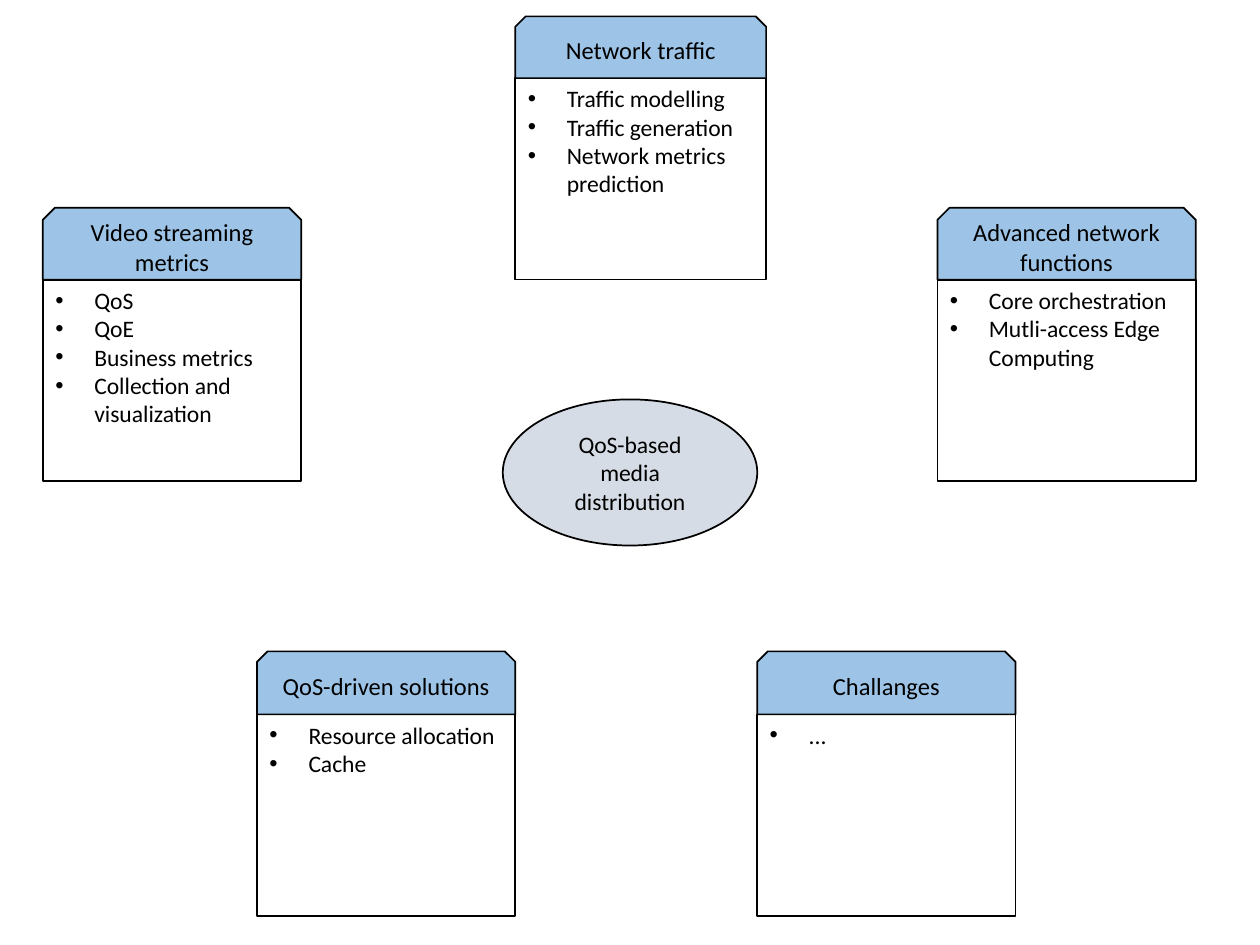
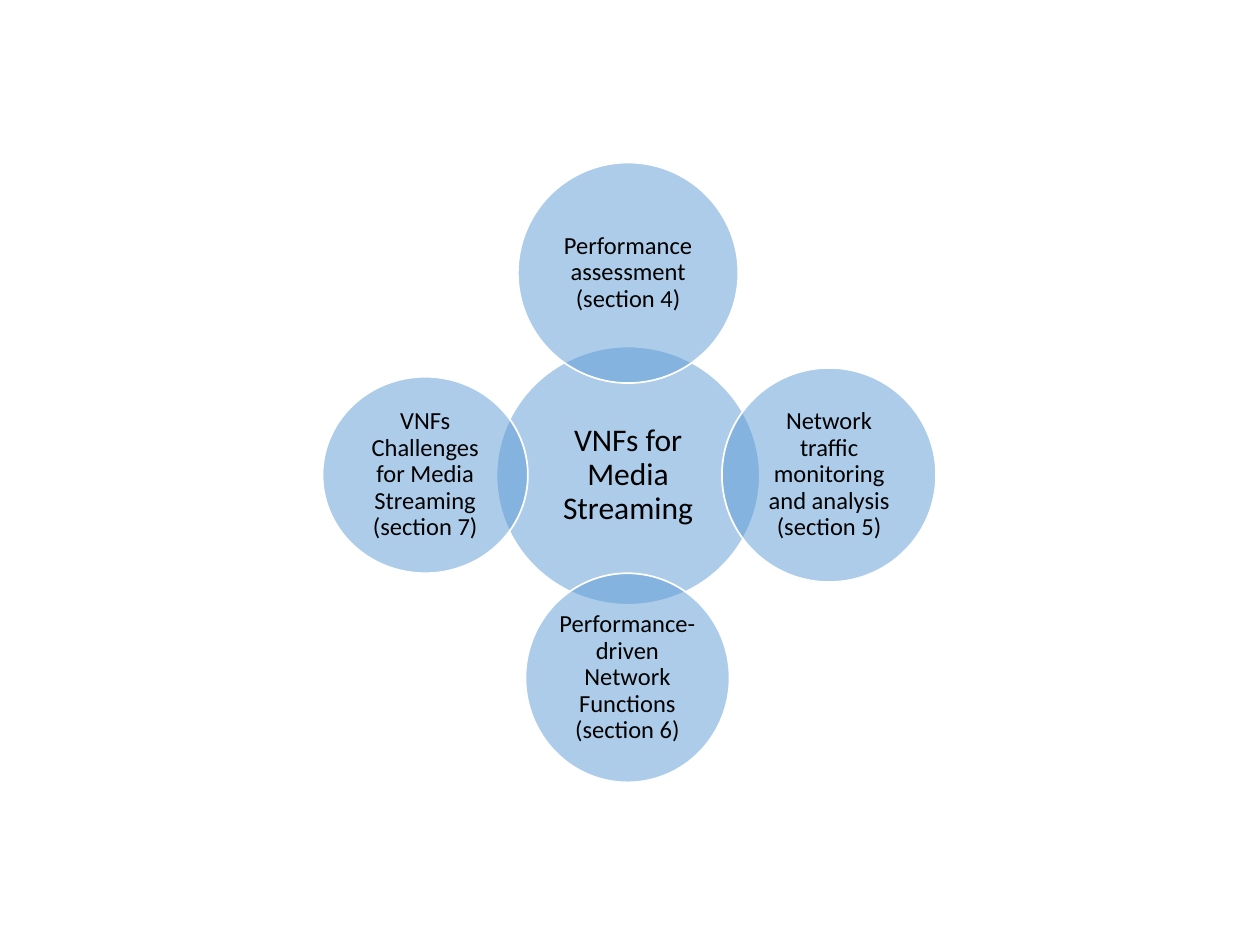
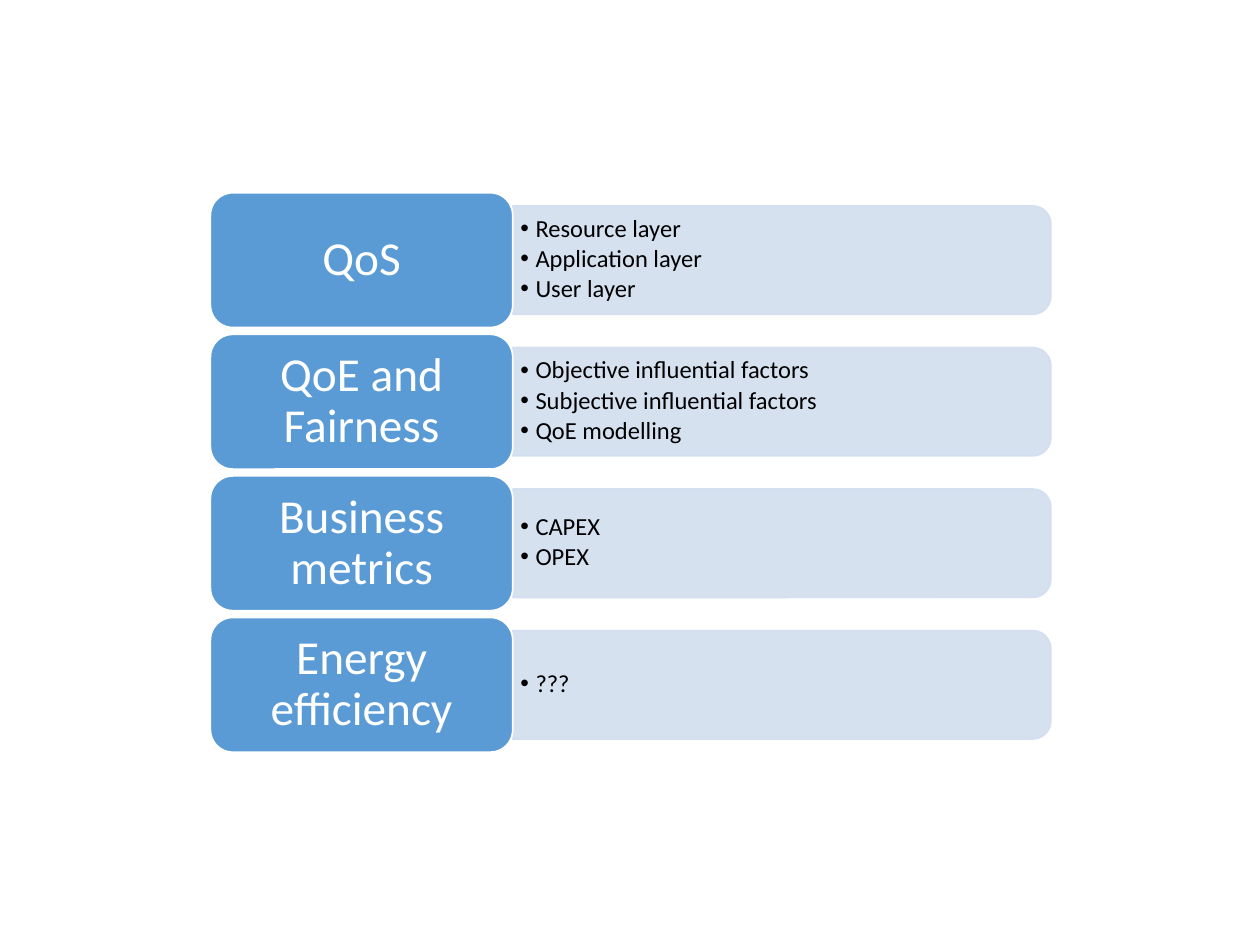
from dataclasses import dataclass
from math import sqrt
from typing import NamedTuple, Optional

from lxml.etree import SubElement
from pptx import Presentation
from pptx.dml.color import RGBColor
from pptx.enum.shapes import MSO_SHAPE as Preset
from pptx.enum.text import MSO_ANCHOR as Anchor, PP_ALIGN as Align
from pptx.oxml.ns import qn
from pptx.util import Inches, Pt


# Shared theme
class Paint(NamedTuple):
    color: str
    opacity: int = 100


@dataclass(frozen=True)
class Theme:
    font: str = "Calibri"
    black: Paint = Paint("000000")
    white: Paint = Paint("FFFFFF")
    header: Paint = Paint("9DC3E6")
    hub: Paint = Paint("D6DCE5")
    accent: Paint = Paint("5B9BD5")
    bubble: Paint = Paint("5B9BD5", 50)
    panel: Paint = Paint("D2DEEF", 90)
    body_size: float = 13.5
    text_size: float = 14
    center_size: float = 18
    label_size: float = 27
    line_width: float = 1


THEME = Theme()


class Box(NamedTuple):
    left: float
    top: float
    width: float
    height: float

    def inset(self, dx: float, dy: float) -> "Box":
        return Box(self.left + dx, self.top + dy, self.width - 2 * dx, self.height - 2 * dy)

    def emu(self) -> list:
        return [Inches(length) for length in self]


class TextStyle(NamedTuple):
    size: float
    paint: Paint = THEME.black
    align: Align = Align.CENTER
    anchor: Anchor = Anchor.MIDDLE
    margins: tuple[float, float] = (0.1, 0.05)
    line_spacing: Optional[float] = None
    space_after: float = 0
    bullet_indent: float = 0


HEADER_TEXT = TextStyle(THEME.text_size)
HUB_TEXT = TextStyle(THEME.body_size)
BODY_TEXT = TextStyle(THEME.body_size, align=Align.LEFT, anchor=Anchor.TOP, bullet_indent=0.31)
CENTER_TEXT = TextStyle(THEME.center_size, margins=(0.03, 0.03), line_spacing=0.9)
BUBBLE_TEXT = TextStyle(THEME.text_size, margins=(0.02, 0.02), line_spacing=0.9)
LABEL_TEXT = TextStyle(THEME.label_size, THEME.white, margins=(0.11, 0.06), line_spacing=0.9)
PANEL_TEXT = TextStyle(THEME.text_size, align=Align.LEFT, margins=(0.06, 0.03),
                       line_spacing=0.9, space_after=2, bullet_indent=0.12)


# Content records
class Card(NamedTuple):
    left: float
    top: float
    width: float
    header_height: float
    title: str
    topics: list[str]


class Bubble(NamedTuple):
    box: Box
    caption: str
    style: TextStyle = BUBBLE_TEXT


class Row(NamedTuple):
    label: str
    points: list[str]


CARDS = [
    Card(0.34, 1.65, 2.05, 0.57, "Video streaming metrics",
         ["QoS", "QoE", "Business metrics", "Collection and visualization"]),
    Card(4.09, 0.13, 1.99, 0.49, "Network traffic",
         ["Traffic modelling", "Traffic generation", "Network metrics prediction"]),
    Card(7.44, 1.65, 2.05, 0.57, "Advanced network functions",
         ["Core orchestration", "Mutli-access Edge Computing"]),
    Card(6.01, 5.17, 2.05, 0.5, "Challanges", ["..."]),
    Card(2.04, 5.17, 2.05, 0.5, "QoS-driven solutions", ["Resource allocation", "Cache"]),
]
BUBBLES = [
    Bubble(Box(3.94, 2.75, 2.09, 2.05), "VNFs for Media Streaming", CENTER_TEXT),
    Bubble(Box(4.11, 1.29, 1.75, 1.75), "Performance assessment (section 4)"),
    Bubble(Box(5.73, 2.92, 1.7, 1.7), "Network traffic monitoring and analysis (section 5)"),
    Bubble(Box(4.17, 4.55, 1.62, 1.66), "Performance-driven Network Functions (section 6)"),
    Bubble(Box(2.56, 2.99, 1.63, 1.56), "VNFs Challenges for Media Streaming (section 7)"),
]
ROWS = [
    Row("QoS", ["Resource layer", "Application layer", "User layer"]),
    Row("QoE and Fairness",
        ["Objective influential factors", "Subjective influential factors", "QoE modelling"]),
    Row("Business metrics", ["CAPEX", "OPEX"]),
    Row("Energy efficiency", ["???"]),
]


# Drawing helpers
def apply_paint(fill, holder, paint: Paint) -> None:
    fill.solid()
    fill.fore_color.rgb = RGBColor.from_string(paint.color)
    if paint.opacity < 100:
        color = holder.find(qn("a:solidFill")).find(qn("a:srgbClr"))
        SubElement(color, qn("a:alpha"), val=str(paint.opacity * 1000))


def add_bullet(paragraph, indent: float) -> None:
    properties = paragraph._p.get_or_add_pPr()
    properties.set("marL", str(Inches(indent)))
    properties.set("indent", str(-Inches(indent)))
    SubElement(properties, qn("a:buFont"), typeface="Arial")
    SubElement(properties, qn("a:buChar"), char="•")


def write(shape, lines: list[str], style: TextStyle) -> None:
    frame = shape.text_frame
    frame.word_wrap = True
    frame.vertical_anchor = style.anchor
    frame.margin_left = frame.margin_right = Inches(style.margins[0])
    frame.margin_top = frame.margin_bottom = Inches(style.margins[1])
    for index, line in enumerate(lines):
        paragraph = frame.add_paragraph() if index else frame.paragraphs[0]
        paragraph.alignment = style.align
        paragraph.line_spacing = style.line_spacing
        paragraph.space_after = Pt(style.space_after)
        if style.bullet_indent:
            add_bullet(paragraph, style.bullet_indent)
        run = paragraph.add_run()
        run.text = line
        run.font.name = THEME.font
        run.font.size = Pt(style.size)
        run.font.color.rgb = RGBColor.from_string(style.paint.color)


def draw_shape(shapes, preset: Preset, box: Box, fill: Paint, outline: Paint):
    shape = shapes.add_shape(preset, *box.emu())
    shape.shadow.inherit = False
    properties = shape._element.spPr
    apply_paint(shape.fill, properties, fill)
    shape.line.width = Pt(THEME.line_width)
    apply_paint(shape.line.fill, properties.find(qn("a:ln")), outline)
    return shape


def draw_text(shapes, box: Box, lines: list[str], style: TextStyle) -> None:
    write(shapes.add_textbox(*box.emu()), lines, style)


def draw_card(slide, card: Card) -> None:
    shapes = slide.shapes.add_group_shape().shapes
    body_box = Box(card.left, card.top + card.header_height, card.width, 1.6)
    body = draw_shape(shapes, Preset.RECTANGLE, body_box, THEME.white, THEME.black)
    write(body, card.topics, BODY_TEXT)
    header_box = Box(card.left, card.top, card.width, card.header_height)
    header = draw_shape(shapes, Preset.SNIP_2_SAME_RECTANGLE, header_box,
                        THEME.header, THEME.black)
    write(header, [card.title], HEADER_TEXT)


def draw_bubble(shapes, bubble: Bubble) -> None:
    draw_shape(shapes, Preset.OVAL, bubble.box, THEME.bubble, THEME.white)
    # The caption fills the rectangle inscribed in the ellipse
    margin = (1 - 1 / sqrt(2)) / 2
    caption_box = bubble.box.inset(bubble.box.width * margin, bubble.box.height * margin)
    draw_text(shapes, caption_box, [bubble.caption], bubble.style)


def draw_row(shapes, row: Row, top: float, height: float) -> None:
    label_box = Box(1.67, top, 2.4, height)
    panel_left = label_box.left + label_box.width
    panel_length, panel_height = 4.27, 0.86
    middle = top + height / 2
    # The panel stands upright before its quarter turn
    panel_box = Box(panel_left + (panel_length - panel_height) / 2,
                    middle - panel_length / 2, panel_height, panel_length)
    panel = draw_shape(shapes, Preset.ROUND_2_SAME_RECTANGLE, panel_box,
                       THEME.panel, THEME.panel)
    panel.rotation = 90
    draw_text(shapes, Box(panel_left, middle - 0.39, 4.22, 0.77), row.points, PANEL_TEXT)
    draw_shape(shapes, Preset.ROUNDED_RECTANGLE, label_box, THEME.accent, THEME.white)
    draw_text(shapes, label_box.inset(0.05, 0.05), [row.label], LABEL_TEXT)


# Slides
def build_topic_map(slide) -> None:
    hub = draw_shape(slide.shapes, Preset.OVAL, Box(3.99, 3.17, 2.02, 1.16),
                     THEME.hub, THEME.black)
    write(hub, ["QoS-based media distribution"], HUB_TEXT)
    for card in CARDS:
        draw_card(slide, card)


def build_section_overview(slide) -> None:
    shapes = slide.shapes.add_group_shape().shapes
    for bubble in BUBBLES:
        draw_bubble(shapes, bubble)


def build_metric_list(slide) -> None:
    shapes = slide.shapes.add_group_shape().shapes
    first_top, height = 1.53, 1.07
    pitch = height * 1.05
    for index, row in enumerate(ROWS):
        draw_row(shapes, row, first_top + index * pitch, height)


def main() -> None:
    deck = Presentation()
    deck.slide_width, deck.slide_height = Inches(10), Inches(7.5)
    for build in (build_topic_map, build_section_overview, build_metric_list):
        build(deck.slides.add_slide(deck.slide_layouts[6]))
    deck.save("out.pptx")


if __name__ == "__main__":
    main()
